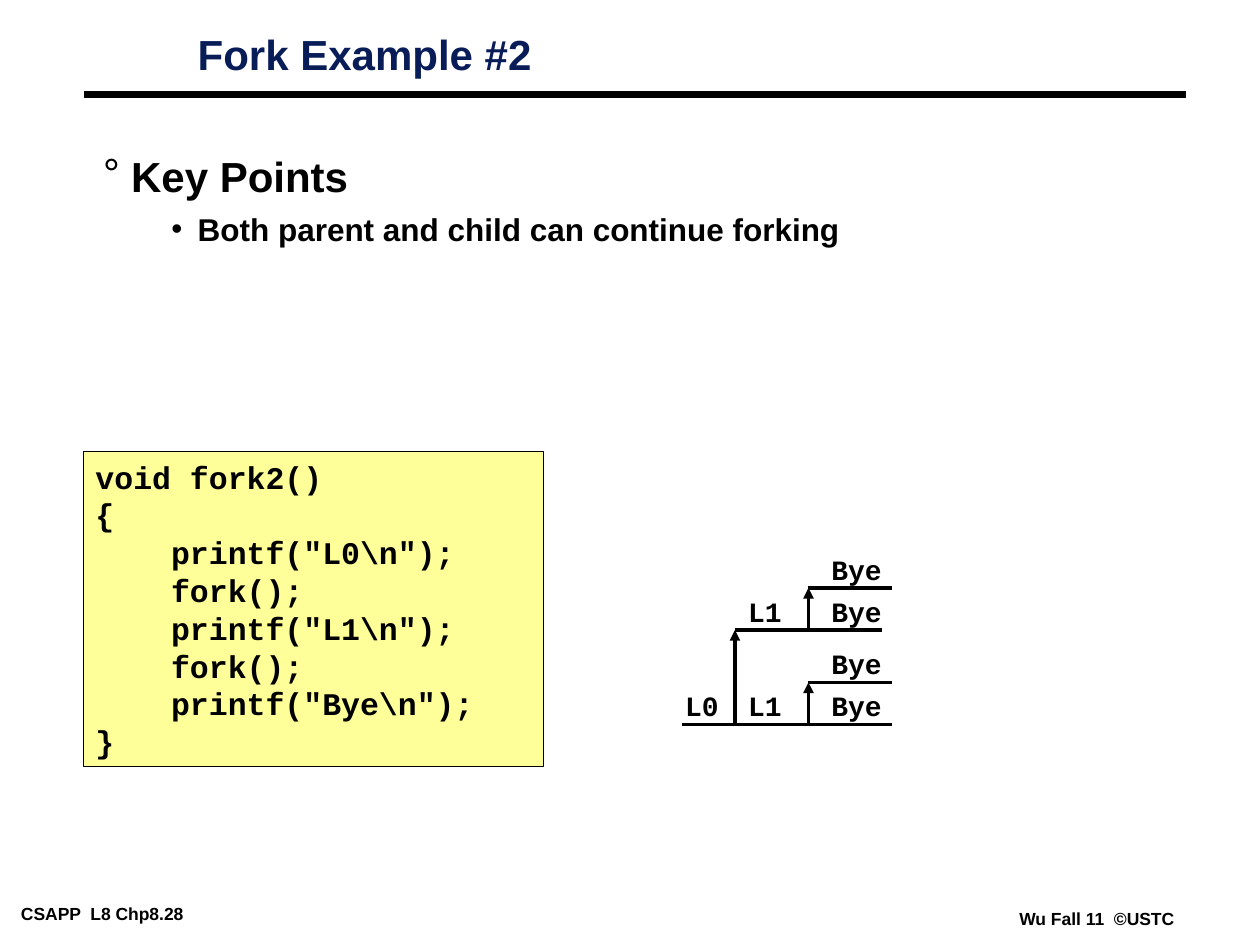
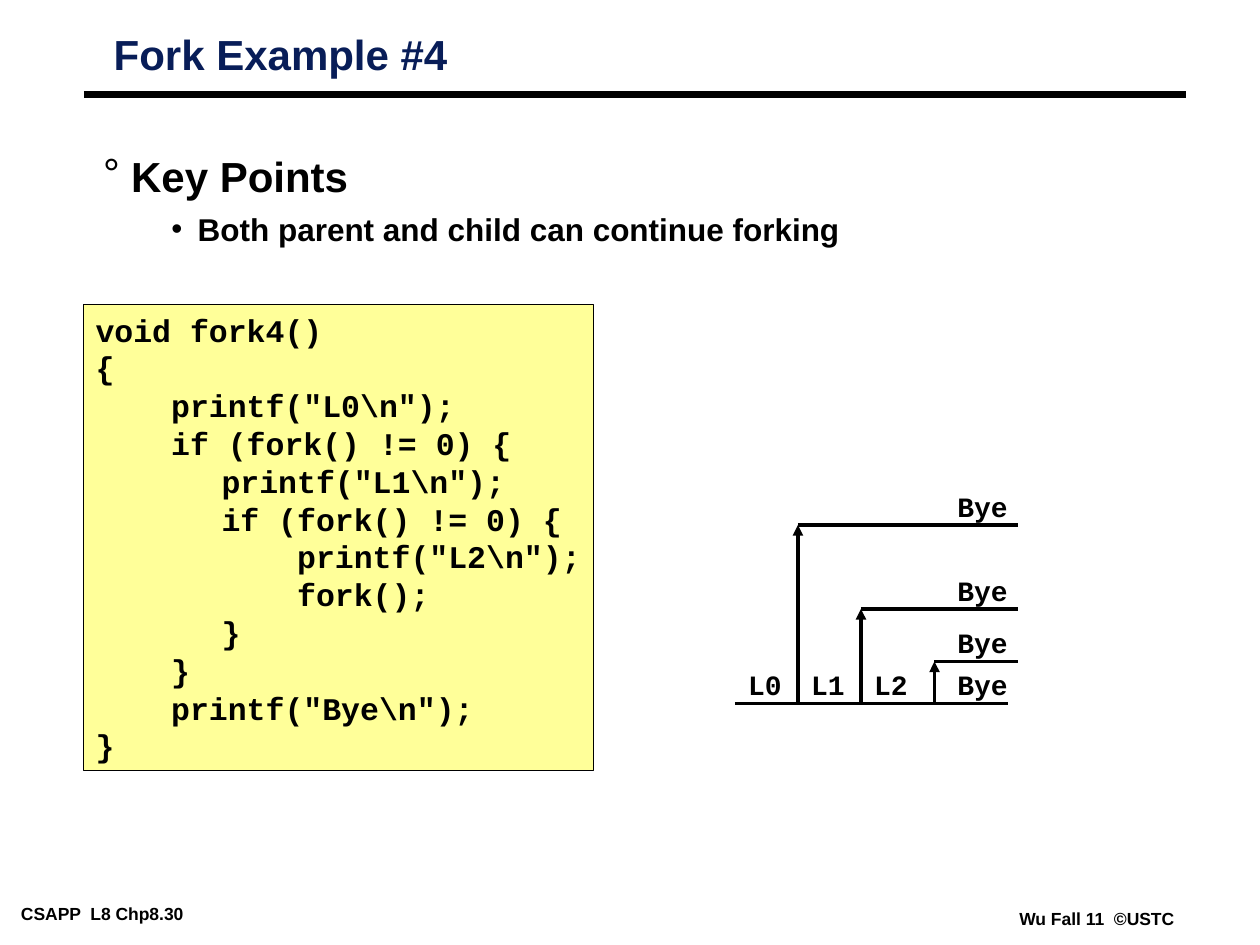
from pptx import Presentation
from pptx.dml.color import RGBColor
from pptx.enum import shapes, text
from pptx.oxml.ns import qn
from pptx.util import Pt
from lxml import etree

INK, NAVY, CREAM = "000000", "081D58", "FFFF99"
SANS, MONO = "Arial", "Courier New"
LEAD = 1.2  # line height of code, as a share of its size

FORK2 = r'''void fork2()
{
    printf("L0\n");
    fork();
    printf("L1\n");
    fork();
    printf("Bye\n");
}'''

FORK4 = r'''void fork4()
{
    printf("L0\n");
    if (fork() != 0) {
<tab>printf("L1\n");
<tab>if (fork() != 0) {
<tab>    printf("L2\n");
<tab>    fork();
<tab>}
    }
    printf("Bye\n");
}'''.replace("<tab>", "\t")


def color(code):
    return RGBColor.from_string(code)


def add(parent, tag, **attrs):
    node = etree.SubElement(parent, qn(tag))
    for name, value in attrs.items():
        node.set(name, str(value))
    return node


class Deck:
    def __init__(self):
        self.prs = Presentation()
        self.prs.slide_width, self.prs.slide_height = Pt(720), Pt(540)

    def page(self, title, left, number):
        """Start a slide with its title, rule, key points and footers."""
        self.slide = self.prs.slides.add_slide(self.prs.slide_layouts[6])
        self.label(f"CSAPP  L8 Chp8.{number}", 7, 513.5, 140, 16, 10)
        self.label("Wu Fall 11  ©USTC", 577.5, 516.5, 100, 16, 10)
        self.line(48, 54, 678, 54, 4.5)
        head = self.label(title, left, 18, 508 - left, 45, 24, NAVY)
        head.paragraphs[0].line_spacing = 0.87
        self.points("Key Points", "Both parent and child can continue forking")

    def style(self, para, size, font=SANS, tint=INK):
        para.alignment = text.PP_ALIGN.LEFT
        para.font.size, para.font.name = Pt(size), font
        para.font.bold = True
        para.font.color.rgb = color(tint)

    def frame(self, shape, side, top):
        """Set the insets; the right side stays free for snug text."""
        frame = shape.text_frame
        frame.word_wrap = True
        frame.vertical_anchor = text.MSO_ANCHOR.TOP
        frame.margin_left, frame.margin_right = Pt(side), 0
        frame.margin_top = frame.margin_bottom = Pt(top)
        return frame

    def box(self, x, y, w, h, side=5, top=2.5):
        shape = self.slide.shapes.add_textbox(Pt(x), Pt(y), Pt(w), Pt(h))
        return self.frame(shape, side, top)

    def label(self, words, x, y, w, h, size, tint=INK):
        frame = self.box(x, y, w, h)
        frame.text = words
        self.style(frame.paragraphs[0], size, tint=tint)
        return frame

    def points(self, head, item):
        frame = self.box(54, 90, 618, 174)
        frame.text = f"{head}\n{item}"
        rows = (("°", 16, 16, 24, 0.75, 0), ("•", 54, 15, 18, 0.85, 9))
        for para, row in zip(frame.paragraphs, rows):
            mark, left, hang, size, lead, gap = row
            props = para._p.get_or_add_pPr()
            props.set("marL", str(Pt(left)))
            props.set("indent", str(-Pt(hang)))
            add(add(props, "a:buClr"), "a:srgbClr", val=INK)
            add(props, "a:buFont", typeface=SANS)
            add(props, "a:buChar", char=mark)
            para.line_spacing, para.space_before = lead, Pt(gap)
            self.style(para, size)

    def code(self, words, y, w):
        size = 18
        h = len(words.splitlines()) * size * LEAD + 7.2
        shape = self.slide.shapes.add_shape(
            shapes.MSO_SHAPE.RECTANGLE, Pt(47.5), Pt(y), Pt(w), Pt(h))
        shape.shadow.inherit = False
        shape.fill.solid()
        shape.fill.fore_color.rgb = color(CREAM)
        shape.line.color.rgb = color(INK)
        shape.line.width = Pt(0.25)
        frame = self.frame(shape, 7.2, 3.6)
        frame.text = words
        for para in frame.paragraphs:
            tabs = add(para._p.get_or_add_pPr(), "a:tabLst")
            add(tabs, "a:tab", pos=Pt(72), algn="l")
            para.line_spacing = Pt(size * LEAD)
            self.style(para, size, MONO)

    def line(self, x1, y1, x2, y2, width=2, arrow=False):
        line = self.slide.shapes.add_connector(
            shapes.MSO_CONNECTOR.STRAIGHT, Pt(x1), Pt(y1), Pt(x2), Pt(y2))
        line.line.color.rgb = color(INK)
        line.line.width = Pt(width)
        if arrow:
            add(line.line._get_or_add_ln(), "a:tailEnd", type="triangle")
        add(line._element.spPr, "a:effectLst")

    def fork(self, x, low, high, end):
        """Branch a child off the line at low and run it along high."""
        self.line(x, low, x, high, arrow=True)
        self.line(x, high, end, high)

    def tag(self, words, x, y):
        """Put printed output just above the process line at y."""
        size = 16
        frame = self.box(x, y - 24, 15 + 9.7 * len(words), 26.6, 7.2, 3.6)
        frame.text = words
        frame.paragraphs[0].line_spacing = Pt(size * LEAD)
        self.style(frame.paragraphs[0], size, MONO)

    def tree(self, base, forks, tags):
        start, end, y = base
        self.line(start, y, end, y)
        for branch in forks:
            self.fork(*branch)
        for mark in tags:
            self.tag(*mark)


def main():
    deck = Deck()

    deck.page("Fork Example #2", 108, 28)
    deck.code(FORK2, 258, 263)
    deck.tree(
        (390, 510, 414),
        [(420, 414, 360, 504), (462, 360, 336, 510), (462, 414, 390, 510)],
        [("L0", 384.5, 414), ("L1", 420.5, 414), ("L1", 420.5, 360)]
        + [("Bye", 468, y) for y in (414, 390, 360, 336)])

    deck.page("Fork Example #4", 60, 30)
    deck.code(FORK4, 174, 291.6)
    base, highs = 402, (300, 348, 378)
    deck.tree(
        (420, 576, base),
        [(x, base, y, 582) for x, y in zip((456, 492, 534), highs)],
        [(f"L{i}", 420.5 + 36 * i, base) for i in range(3)]
        + [("Bye", 540, y) for y in (*highs, base)])

    deck.prs.save("out.pptx")


if __name__ == "__main__":
    main()
